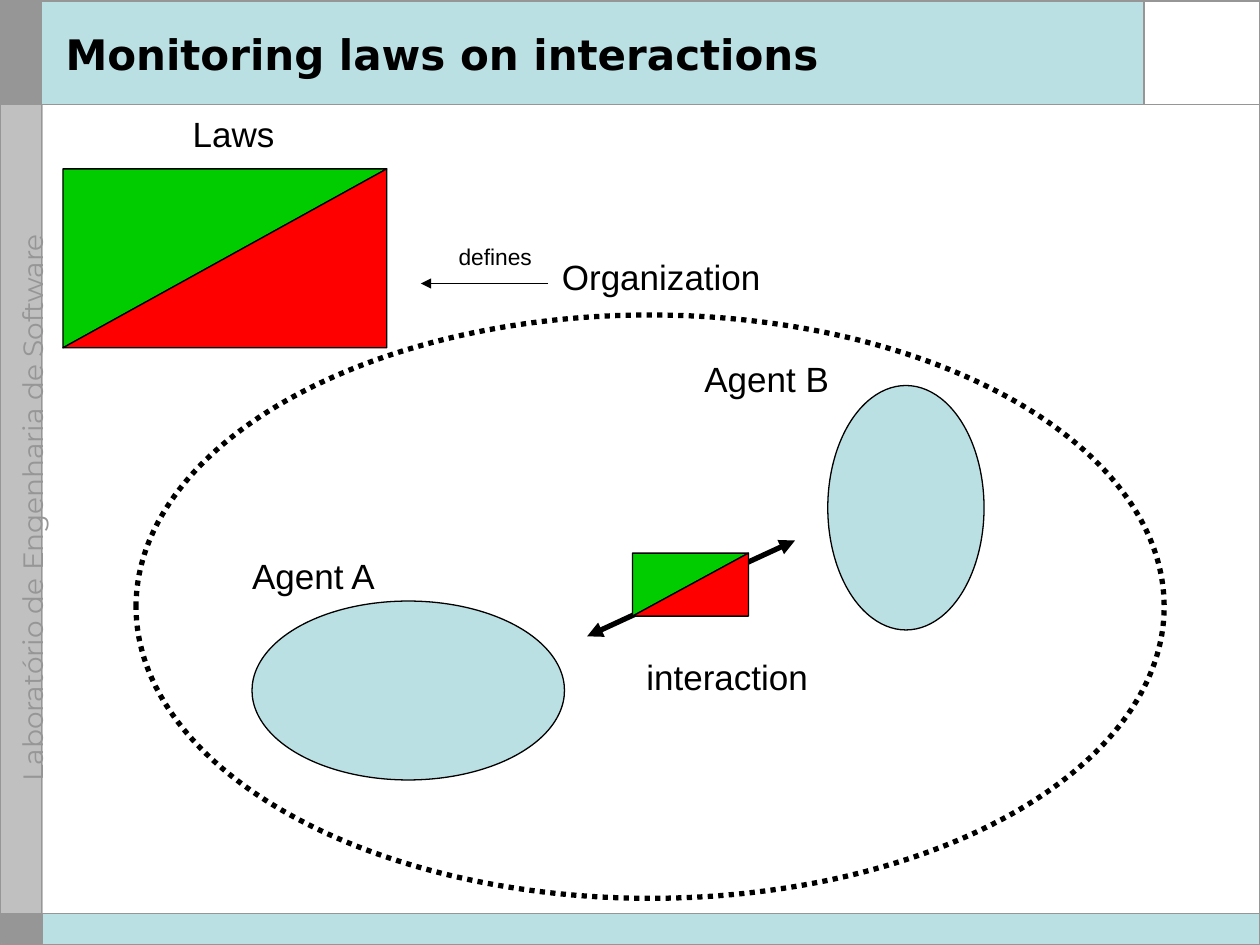
from pptx import Presentation
from pptx.dml.color import RGBColor as RGB
from pptx.enum.dml import MSO_LINE as Dash
from pptx.enum.shapes import MSO_CONNECTOR as Conn, MSO_SHAPE as Kind
from pptx.enum.text import MSO_ANCHOR as Anchor, PP_ALIGN as Align
from pptx.oxml.ns import qn
from pptx.util import Inches, Pt
from lxml.etree import SubElement as Sub

BLACK = RGB(0x00, 0x00, 0x00)
WHITE = RGB(0xFF, 0xFF, 0xFF)
GRAY = RGB(0x96, 0x96, 0x96)
SILVER = RGB(0xC0, 0xC0, 0xC0)
TEAL = RGB(0xBB, 0xE0, 0xE3)
GREEN = RGB(0x00, 0xCC, 0x00)
RED = RGB(0xFF, 0x00, 0x00)

WIDE, HIGH = 10, 7.5
SIDE, HEAD, FOOT, LOGO = 0.33, 0.83, 7.25, 9.08


def paint(shape, fill=None, line=None, width=0.75):
    shape.shadow.inherit = False
    if fill is None:
        shape.fill.background()
    else:
        shape.fill.solid()
        shape.fill.fore_color.rgb = fill
    if line is None:
        shape.line.fill.background()
    else:
        shape.line.color.rgb = line
        shape.line.width = Pt(width)
    return shape


def add(slide, kind, box, **style):
    shape = slide.shapes.add_shape(kind, *map(Inches, box))
    return paint(shape, **style)


def write(frame, text, size=20, font="Arial", color=BLACK, bold=False,
          wrap=False, inset=(0.11, 0.06), anchor=Anchor.TOP):
    frame.word_wrap = wrap
    frame.vertical_anchor = anchor
    frame.margin_left = frame.margin_right = Inches(inset[0])
    frame.margin_top = frame.margin_bottom = Inches(inset[1])
    para = frame.paragraphs[0]
    para.alignment = Align.LEFT
    run = para.add_run()
    run.text = text
    run.font.size = Pt(size)
    run.font.name = font
    run.font.bold = bold
    run.font.color.rgb = color


def label(slide, text, box, **style):
    shape = slide.shapes.add_textbox(*map(Inches, box))
    write(shape.text_frame, text, **style)
    return shape


def rule(slide, start, end, color=BLACK, width=0.75, tips=()):
    line = slide.shapes.add_connector(Conn.STRAIGHT, *map(Inches, start + end))
    line.line.color.rgb = color
    line.line.width = Pt(width)
    for tip in tips:
        Sub(line.line._get_or_add_ln(), qn("a:" + tip), type="triangle")
    Sub(line._element.spPr, qn("a:effectLst"))


def frame(slide, wide, high):
    span = wide - SIDE
    add(slide, Kind.RECTANGLE, (0.01, 0.01, SIDE, HEAD), fill=GRAY, line=GRAY)
    add(slide, Kind.RECTANGLE, (SIDE, 0, span, HEAD), fill=TEAL)
    add(slide, Kind.RECTANGLE, (0.01, HEAD, SIDE, FOOT - HEAD),
        fill=SILVER, line=SILVER)
    add(slide, Kind.RECTANGLE, (LOGO, 0, wide - LOGO, HEAD), fill=WHITE)
    add(slide, Kind.RECTANGLE, (SIDE, FOOT, span, high - FOOT), fill=TEAL)
    side = label(slide, "Laboratório de Engenharia de Software",
                 (-2.14, 3.91, 4.6, 0.18), size=16, font="Montserrat",
                 color=GRAY, inset=(0.1, 0.05))
    side.rotation = 270
    add(slide, Kind.RECTANGLE, (0.01, FOOT, SIDE, 0.24), fill=GRAY, line=GRAY)
    for start, end in (((LOGO, 0), (LOGO, HEAD)),
                       ((0, HEAD), (wide, HEAD)),
                       ((SIDE, 0), (SIDE, high)),
                       ((0, FOOT), (wide, FOOT))):
        rule(slide, start, end, color=GRAY, width=1)
    add(slide, Kind.RECTANGLE, (0, 0.01, wide, high - 0.01),
        line=GRAY, width=1)


def title(slide, text, box):
    shape = slide.shapes.title
    shape.left, shape.top, shape.width, shape.height = map(Inches, box)
    write(shape.text_frame, text, size=24, font="DejaVu Sans", bold=True,
          wrap=True, inset=(0.1, 0.05), anchor=Anchor.MIDDLE)
    slide.shapes._spTree.append(shape._element)


def law(slide, left, top, wide, high):
    right, base = left + wide, top + high
    for corner, fill in (((left, top), GREEN), ((right, base), RED)):
        points = [tuple(map(Inches, spot))
                  for spot in (corner, (left, base), (right, top))]
        build = slide.shapes.build_freeform(*points[0])
        build.add_line_segments(points[1:], close=True)
        paint(build.convert_to_shape(), fill=fill, line=BLACK)


def agents(slide):
    add(slide, Kind.OVAL, (2, 4.77, 2.48, 1.42), fill=TEAL, line=BLACK)
    upright = add(slide, Kind.OVAL, (6.22, 3.41, 1.94, 1.24),
                  fill=TEAL, line=BLACK)
    upright.rotation = 90
    label(slide, "Agent A", (1.89, 4.34, 1.21, 0.44))
    label(slide, "Agent B", (5.48, 2.78, 1.21, 0.44))


def talk(slide):
    rule(slide, (4.66, 5.05), (6.31, 4.29), width=3,
         tips=("headEnd", "tailEnd"))
    law(slide, 5.02, 4.39, 0.92, 0.5)
    label(slide, "interaction", (5.02, 5.14, 1.51, 0.44))


def laws(slide):
    law(slide, 0.5, 1.34, 2.57, 1.42)
    label(slide, "Laws", (1.42, 0.83, 0.87, 0.44))


def group(slide, box):
    ring = add(slide, Kind.OVAL, box, line=BLACK, width=3)
    ring.line.dash_style = Dash.ROUND_DOT
    label(slide, "Organization", (4.35, 1.97, 1.8, 0.44))
    rule(slide, (4.35, 2.25), (3.34, 2.25), tips=("tailEnd",))
    label(slide, "defines", (3.53, 1.87, 0.8, 0.33), size=13)


def main():
    deck = Presentation()
    deck.slide_width, deck.slide_height = Inches(WIDE), Inches(HIGH)
    slide = deck.slides.add_slide(deck.slide_layouts[5])
    frame(slide, WIDE, HIGH)
    title(slide, "Monitoring laws on interactions", (0.42, 0.12, 8.58, 0.62))
    agents(slide)
    laws(slide)
    talk(slide)
    group(slide, (1.08, 2.5, 8.16, 4.63))
    deck.save("out.pptx")


if __name__ == "__main__":
    main()
